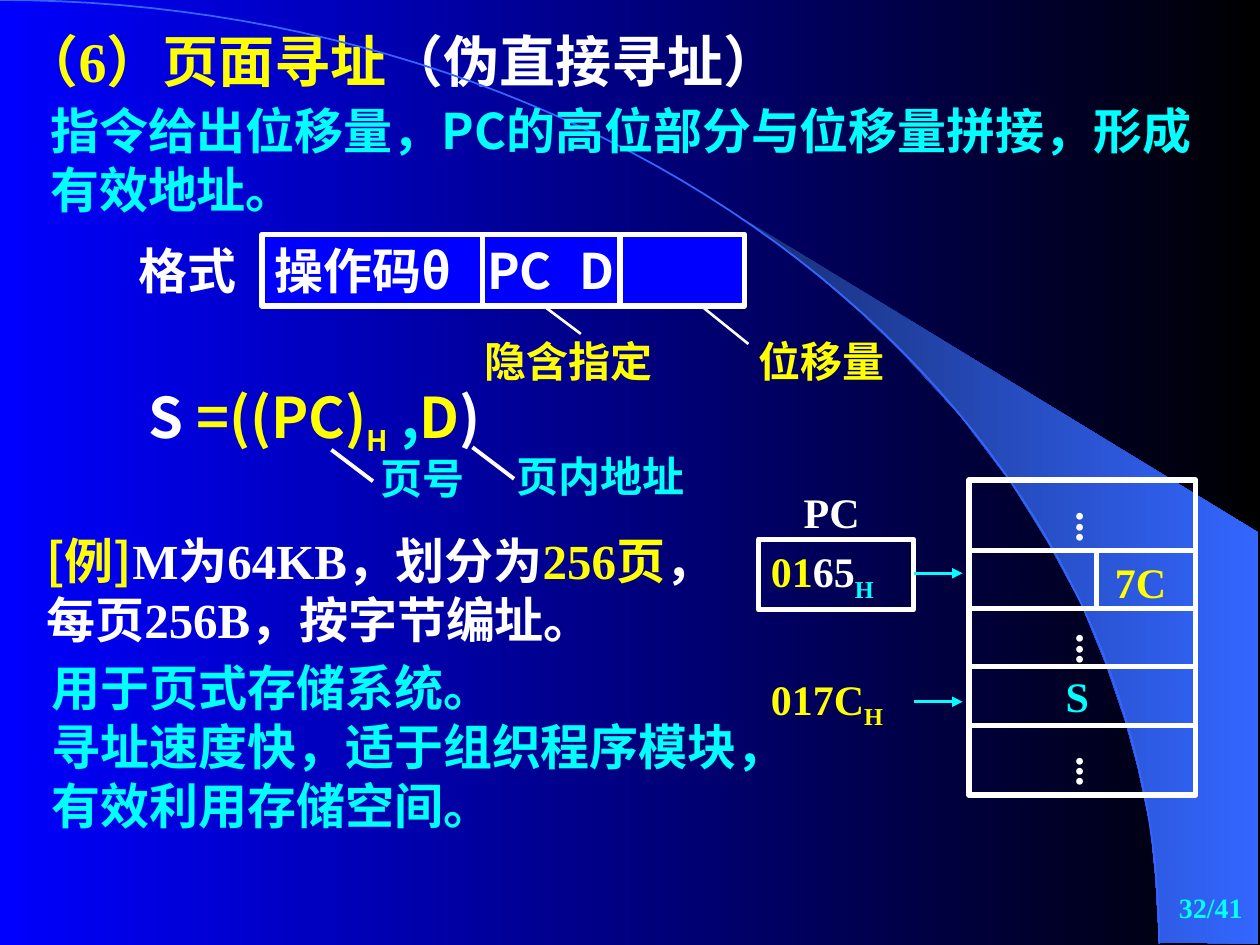
"""Build the slide on page addressing with its instruction format and memory map."""
import math
from lxml import etree
from pptx import Presentation
from pptx.dml.color import RGBColor
from pptx.enum import shapes, text
from pptx.oxml.ns import qn
from pptx.util import Inches, Pt

WHITE = RGBColor(0xFF, 0xFF, 0xFF)
YELLOW = RGBColor(0xFF, 0xFF, 0x00)
CYAN = RGBColor(0x00, 0xFF, 0xFF)
BLUE = RGBColor(0x00, 0x00, 0xFF)
BLACK = RGBColor(0x00, 0x00, 0x00)
NAVY = RGBColor(0x18, 0x2F, 0x76)
ARC_BLUE = RGBColor(0x33, 0x66, 0xFF)
SERIF = "Times New Roman"
SANS = "Noto Sans CJK SC"


def write(sp, box, size, paragraphs, align=text.PP_ALIGN.LEFT, spacing=None):
    sp.left, sp.top, sp.width, sp.height = [Inches(v) for v in box]
    tf = sp.text_frame
    tf.word_wrap = True
    tf.auto_size = text.MSO_AUTO_SIZE.NONE
    tf.vertical_anchor = text.MSO_ANCHOR.TOP
    tf.margin_left = tf.margin_right = Inches(0.1)
    tf.margin_top = tf.margin_bottom = Inches(0.05)
    for i, runs in enumerate(paragraphs):
        p = tf.add_paragraph() if i else tf.paragraphs[0]
        pPr = p._p.get_or_add_pPr()
        pPr.set("marL", "0")
        pPr.set("indent", "0")
        etree.SubElement(pPr, qn("a:buNone"))
        p.alignment = align
        p.space_before = p.space_after = Pt(0)
        p.line_spacing = Pt(spacing or round(size * 1.2, 1))
        for words, font, color, *sub in runs:
            r = p.add_run()
            r.text = words
            r.font.name, r.font.size, r.font.bold = font, Pt(sub[0] if sub else size), True
            r.font.color.rgb = color
            rPr = r._r.get_or_add_rPr()
            etree.SubElement(rPr, qn("a:ea"), typeface=SANS)
            if sub:
                rPr.set("baseline", "-25000")
    return tf


def connect(x1, y1, x2, y2, width, color=WHITE, arrow=False):
    points = [Inches(v) for v in (x1, y1, x2, y2)]
    line = s.shapes.add_connector(shapes.MSO_CONNECTOR.STRAIGHT, *points)
    line.line.color.rgb, line.line.width = color, Pt(width)
    if arrow:
        etree.SubElement(line.line._get_or_add_ln(), qn("a:tailEnd"), type="triangle")
    etree.SubElement(line._element.spPr, qn("a:effectLst"))


prs = Presentation()
prs.slide_width, prs.slide_height = Inches(10), Inches(7.5)
s = prs.slides.add_slide(prs.slide_layouts[1])
title, body = s.shapes.title, s.placeholders[1]

wedge_points = [
    (9.99, 7.49), (9.99, 4.23), (5.89, 1.73), (6.24, 1.99), (6.53, 2.22), (6.85, 2.5),
    (7.16, 2.8), (7.62, 3.3), (8.03, 3.84), (8.32, 4.31), (8.58, 4.79), (8.78, 5.28),
    (8.93, 5.72), (9.03, 6.09), (9.13, 6.56), (9.17, 6.96)]
fb = s.shapes.build_freeform(Inches(9.2), Inches(7.48))
fb.add_line_segments([(Inches(x), Inches(y)) for x, y in wedge_points], close=True)
wedge = fb.convert_to_shape()
wedge.shadow.inherit = False
wedge.line.fill.background()
for fill, colors in ((s.background.fill, (BLUE, BLACK)), (wedge.fill, (NAVY, ARC_BLUE))):
    fill.gradient()
    fill.gradient_angle = 0
    for stop, color, position in zip(fill.gradient_stops, colors, (0, 1)):
        stop.color.rgb, stop.position = color, position

steps = 60
angles = [math.pi / 2 * i / steps for i in range(1, steps + 1)]
fb = s.shapes.build_freeform(0, 0)
fb.add_line_segments(
    [(Inches(9.2 * math.sin(a)), Inches(7.49 * (1 - math.cos(a)))) for a in angles], close=False)
arc = fb.convert_to_shape()
arc.shadow.inherit = False
arc.fill.background()
arc.line.color.rgb, arc.line.width = ARC_BLUE, Pt(1)

write(title, (0.08, 0.16, 7.85, 0.64), 32,
      [[("（6）页面寻址", SERIF, YELLOW), ("（伪直接寻址）", SERIF, WHITE)]])
write(body, (0.31, 5.17, 6.43, 1.5), 28,
      [[(words, SERIF, CYAN)] for words in (
          "用于页式存储系统。", "寻址速度快，适于组织程序模块，", "有效利用存储空间。")])

format_box = (2.08, 1.86, 3.83, 0.57)
pc_box = (6.02, 4.28, 1.23, 0.56)
memory_box = (7.69, 3.81, 1.8, 2.5)
frames = []
for box in (format_box, pc_box, memory_box):
    sp = s.shapes.add_shape(shapes.MSO_SHAPE.RECTANGLE, *[Inches(v) for v in box])
    sp.shadow.inherit = False
    sp.fill.background()
    sp.line.color.rgb, sp.line.width = WHITE, Pt(3)
    frames.append(sp)
frames[0].fill.solid()
frames[0].fill.fore_color.rgb = BLUE
write(frames[0], format_box, 28, [[("操作码", SERIF, WHITE), ("θ", SANS, WHITE)]])
write(frames[1], pc_box, 24,
      [[("01", SERIF, YELLOW), ("65", SERIF, WHITE), ("H", SERIF, CYAN, 24)]], spacing=33)

for x in (3.83, 4.92):
    connect(x, 1.86, x, 2.44, 3)
for y in (4.37, 4.83, 5.29, 5.76):
    connect(7.69, y, 9.49, y, 3)
connect(8.7, 4.37, 8.7, 4.83, 3)
connect(4.33, 2.44, 4.61, 2.65, 1.5)
connect(5.58, 2.44, 5.94, 2.73, 1.5)
connect(2.63, 3.57, 2.96, 3.82, 2.25)
connect(3.75, 3.55, 4.08, 3.8, 2.25)
for y in (4.55, 5.57):
    connect(7.25, y, 7.64, y, 1.5, CYAN, arrow=True)

labels = [
    ((1, 1.86, 1.17, 0.57), 28, "格式", SERIF, WHITE),
    ((3.77, 1.86, 0.8, 0.57), 28, "PC", SANS, WHITE),
    ((4.5, 1.86, 0.5, 0.57), 28, "D", SANS, WHITE),
    ((3.75, 2.61, 2.33, 0.5), 24, "隐含指定", SANS, YELLOW),
    ((5.92, 2.61, 1.58, 0.5), 24, "位移量", SANS, YELLOW),
    ((2.92, 3.54, 1.42, 0.5), 24, "页号", SANS, CYAN),
    ((4, 3.53, 1.92, 0.5), 24, "页内地址", SANS, CYAN),
    ((6.28, 3.81, 0.82, 0.5), 24, "PC", SERIF, WHITE),
    ((8.75, 4.37, 0.82, 0.5), 24, "7C", SERIF, YELLOW),
    ((8.36, 5.27, 0.57, 0.5), 24, "S", SERIF, CYAN)]
for box, size, words, font, color in labels:
    write(s.shapes.add_textbox(0, 0, 0, 0), box, size, [[(words, font, color)]])

write(s.shapes.add_textbox(0, 0, 0, 0), (0.3, 0.75, 9.52, 1.04), 28,
      [[("指令给出位移量，", SERIF, CYAN), ("PC的高位部分", SANS, CYAN),
        ("与位移量拼接，形成有效地址。", SERIF, CYAN)]])
write(s.shapes.add_textbox(0, 0, 0, 0), (1.08, 3.11, 4.17, 0.51), 32,
      [[("S ", SANS, WHITE), ("=((PC)", SANS, YELLOW), ("H", SANS, YELLOW, 28),
        (" ", SANS, YELLOW), (",", SANS, CYAN), ("D", SANS, YELLOW), (")", SANS, WHITE)]],
      spacing=33.5)
write(s.shapes.add_textbox(0, 0, 0, 0), (0.27, 4.16, 5.59, 1.04), 28,
      [[("[例]", SANS, YELLOW), ("M为64KB，划分为", SERIF, WHITE),
        ("256页", SERIF, YELLOW), ("，每页256B，按字节编址。", SERIF, WHITE)]])
write(s.shapes.add_textbox(0, 0, 0, 0), (6.02, 5.29, 1.23, 0.56), 24,
      [[("017C", SERIF, YELLOW), ("H", SERIF, YELLOW, 24)]], spacing=33)

for row in range(3):
    tf = write(s.shapes.add_textbox(0, 0, 0, 0), (8.33, 3.96 + 0.97 * row, 0.6, 0.55), 24,
               [[("...", SERIF, WHITE)]])
    tf.margin_left = tf.margin_right = Inches(0.05)
    tf.margin_top = tf.margin_bottom = Inches(0.1)
    tf._txBody.bodyPr.set("vert", "eaVert")

tf = write(s.shapes.add_textbox(0, 0, 0, 0), (7.88, 6.95, 2.08, 0.5), 16,
           [[("32/41", SERIF, CYAN)]], align=text.PP_ALIGN.RIGHT)
tf.vertical_anchor = text.MSO_ANCHOR.MIDDLE

prs.save("out.pptx")
